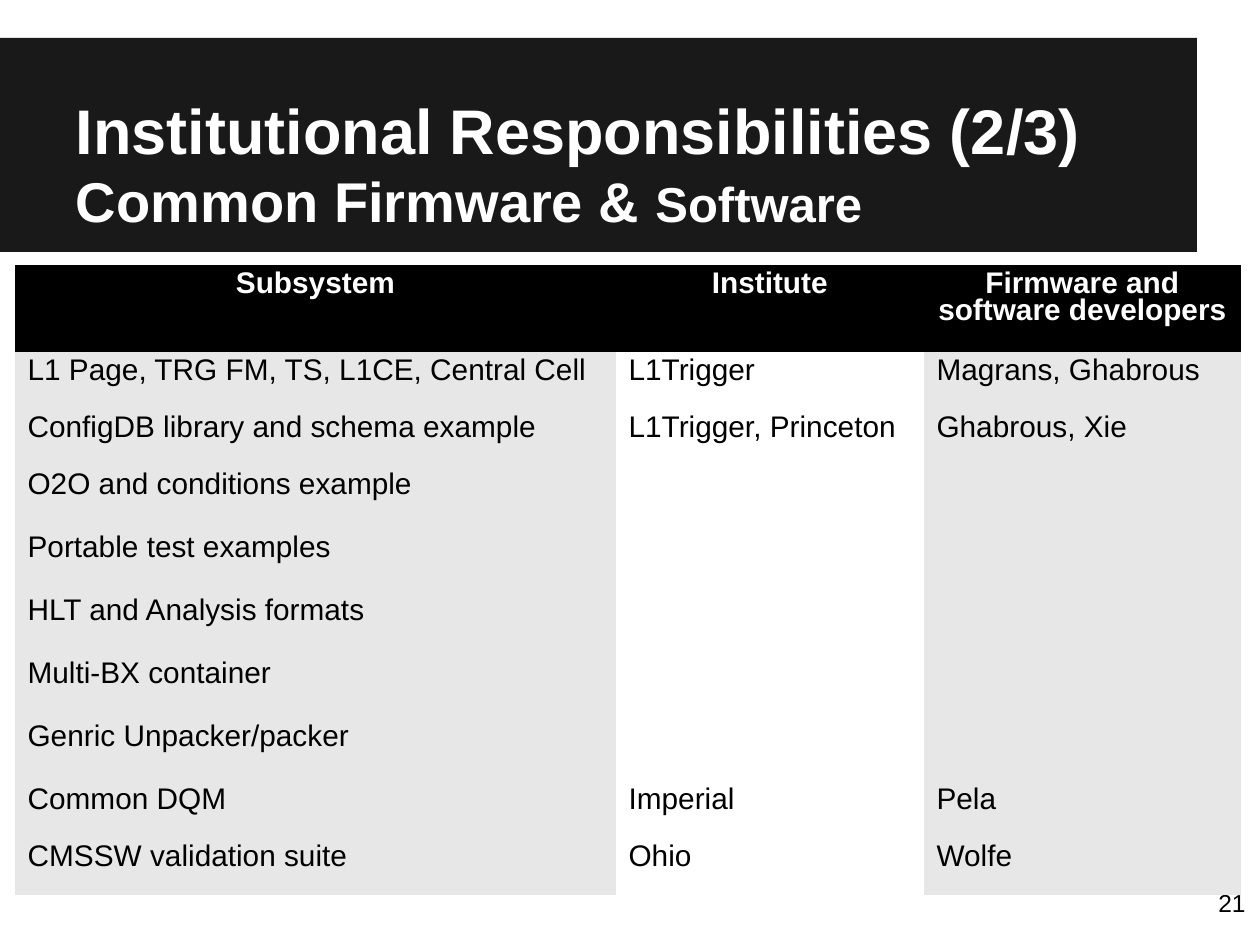
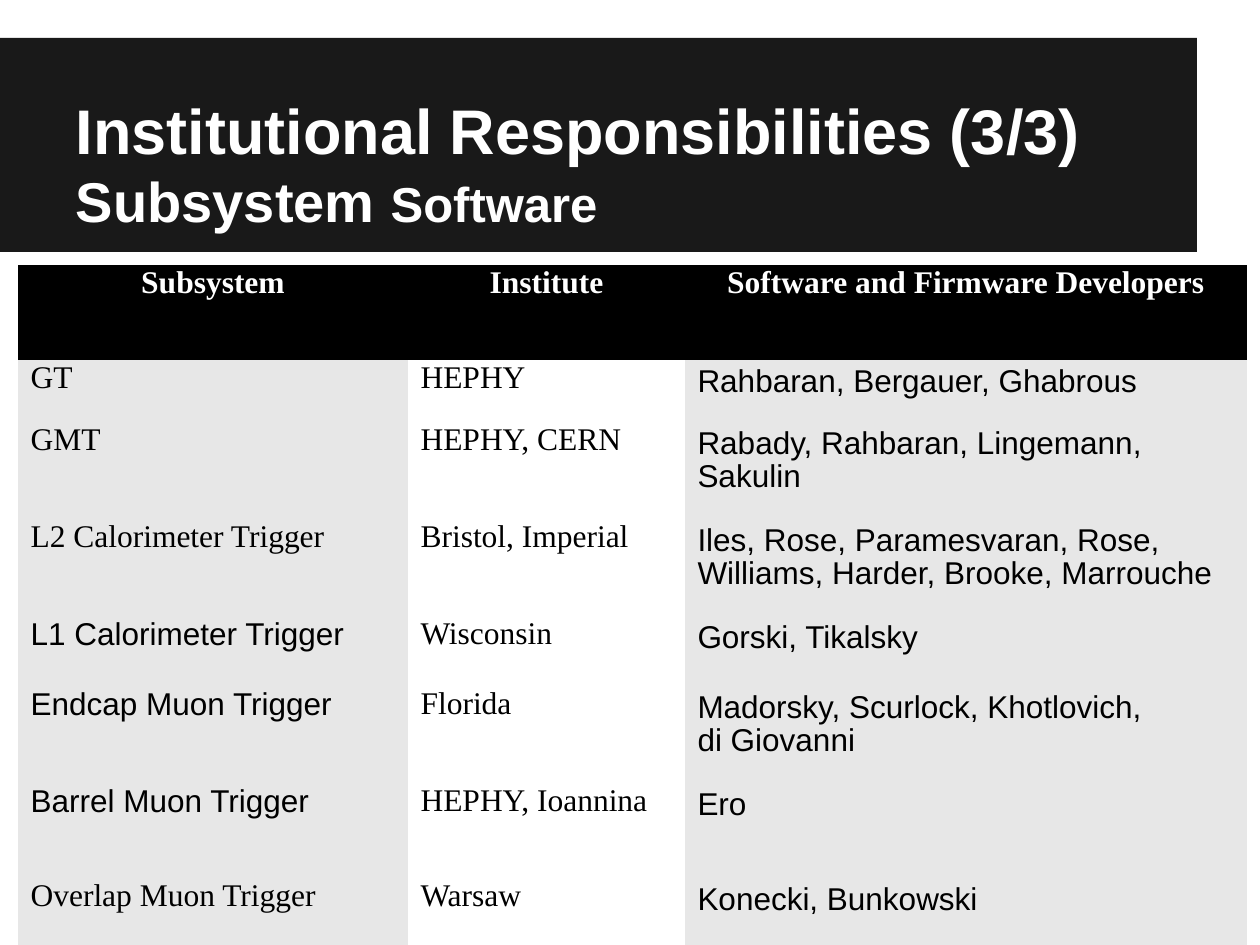
from collections import namedtuple

from pptx import Presentation
from pptx.dml.color import RGBColor
from pptx.enum.shapes import MSO_SHAPE
from pptx.enum.text import MSO_ANCHOR, MSO_AUTO_SIZE, PP_ALIGN
from pptx.oxml.ns import qn
from pptx.util import Pt

EMU_PER_PX = 914400 / 126
TITLE_ONLY = 5
PLAIN_TABLE_STYLE = "{2D5ABB26-0587-4C30-8999-92F81FD0307C}"

BLACK = RGBColor(0x00, 0x00, 0x00)
WHITE = RGBColor(0xFF, 0xFF, 0xFF)
BAND_GREY = RGBColor(0x19, 0x19, 0x19)
COLUMN_GREY = RGBColor(0xE7, 0xE7, 0xE7)
COLUMN_FILLS = (COLUMN_GREY, WHITE, COLUMN_GREY)

Box = namedtuple("Box", "left top width height")
TextStyle = namedtuple("TextStyle", "font size spacing")

BAND_BOX = Box(0, 38, 1197, 214)
TITLE_BOX = Box(63, 38, 1134, 209)
NUMBER_BOX = Box(1121, 882, 137, 59)

COMMON_STYLE = TextStyle("Arial", 17, 0.82)
SERIF_STYLE = TextStyle("Times New Roman", 18, 0.81)
SANS_STYLE = TextStyle("Arial", 18, 0.82)
DEVELOPER_STYLE = TextStyle("Arial", 18, 0.93)

COMMON_ROWS = [
    ("Subsystem", "Institute", "Firmware and software developers"),
    ("L1 Page, TRG FM, TS, L1CE, Central Cell", "L1Trigger", "Magrans, Ghabrous"),
    ("ConfigDB library and schema example", "L1Trigger, Princeton", "Ghabrous, Xie"),
    ("O2O and conditions example", "", ""),
    ("Portable test examples", "", ""),
    ("HLT and Analysis formats", "", ""),
    ("Multi-BX container", "", ""),
    ("Genric Unpacker/packer", "", ""),
    ("Common DQM", "Imperial", "Pela"),
    ("CMSSW validation suite", "Ohio", "Wolfe"),
]
SUBSYSTEM_ROWS = [
    ("Subsystem", "Institute", "Software and Firmware Developers"),
    ("GT", "HEPHY", "Rahbaran, Bergauer, Ghabrous"),
    ("GMT", "HEPHY, CERN", "Rabady, Rahbaran, Lingemann, Sakulin"),
    ("L2 Calorimeter Trigger", "Bristol, Imperial",
     "Iles, Rose, Paramesvaran, Rose, Williams, Harder, Brooke, Marrouche"),
    ("L1 Calorimeter Trigger", "Wisconsin", "Gorski, Tikalsky"),
    ("Endcap Muon Trigger", "Florida", "Madorsky, Scurlock, Khotlovich, \vdi Giovanni"),
    ("Barrel Muon Trigger", "HEPHY, Ioannina", "Ero"),
    ("Overlap Muon Trigger", "Warsaw", "Konecki, Bunkowski"),
]
SANS_SUBSYSTEMS = {"L1 Calorimeter Trigger", "Endcap Muon Trigger", "Barrel Muon Trigger"}


def px(length):
    return round(length * EMU_PER_PX)


def emu_box(box):
    return [px(length) for length in box]


def set_font(font, name, size, color, bold=False):
    font.name = name
    font.size = Pt(size)
    font.bold = bold
    font.color.rgb = color


def add_title_band(page, part, topic):
    title = page.shapes.title
    title.left, title.top, title.width, title.height = emu_box(TITLE_BOX)

    band = page.shapes.add_shape(MSO_SHAPE.RECTANGLE, *emu_box(BAND_BOX))
    band.shadow.inherit = False
    band.fill.solid()
    band.fill.fore_color.rgb = BAND_GREY
    band.line.fill.background()
    title._element.addprevious(band._element)

    frame = title.text_frame
    frame.auto_size = MSO_AUTO_SIZE.NONE
    frame.word_wrap = True
    frame.vertical_anchor = MSO_ANCHOR.BOTTOM
    frame.margin_left = frame.margin_right = px(13)
    frame.margin_top = frame.margin_bottom = px(13)
    lines = [
        [(f"Institutional Responsibilities ({part}/3)", 36)],
        [(f"{topic} ", 32), ("Software", 28)],
    ]
    for index, line in enumerate(lines):
        para = frame.add_paragraph() if index else frame.paragraphs[0]
        para.alignment = PP_ALIGN.LEFT
        for text, size in line:
            span = para.add_run()
            span.text = text
            set_font(span.font, "Arial", size, WHITE, bold=True)


def add_page_number(page, number):
    frame = page.shapes.add_textbox(*emu_box(NUMBER_BOX)).text_frame
    frame.word_wrap = True
    para = frame.paragraphs[0]
    para.text = str(number)
    para.alignment = PP_ALIGN.RIGHT
    set_font(para.font, "Arial", 14, BLACK)


def fill_cell(cell, text, style, fill, is_header):
    cell.fill.solid()
    cell.fill.fore_color.rgb = BLACK if is_header else fill
    cell.text = text
    for para in cell.text_frame.paragraphs:
        para.alignment = PP_ALIGN.CENTER if is_header else PP_ALIGN.LEFT
        para.line_spacing = style.spacing
        set_font(para.font, style.font, style.size,
                 WHITE if is_header else BLACK, bold=is_header)


def add_responsibility_table(page, left, top, widths, heights, rows, style_of):
    """style_of(row, column, text) gives the TextStyle of a cell."""
    box = Box(left, top, sum(widths), sum(heights))
    table = page.shapes.add_table(len(rows), len(widths), *emu_box(box)).table
    table.first_row = table.horz_banding = False
    table._tbl.tblPr.find(qn("a:tableStyleId")).text = PLAIN_TABLE_STYLE
    for column, width in zip(table.columns, widths):
        column.width = px(width)
    for r, (texts, height) in enumerate(zip(rows, heights)):
        table.rows[r].height = px(height)
        for c, (text, fill) in enumerate(zip(texts, COLUMN_FILLS)):
            fill_cell(table.cell(r, c), text, style_of(r, c, text), fill, r == 0)


def common_style(row, column, text):
    return COMMON_STYLE


def subsystem_style(row, column, text):
    if row and column == 2:
        return DEVELOPER_STYLE
    return SANS_STYLE if text in SANS_SUBSYSTEMS else SERIF_STYLE


def add_page(deck, part, topic):
    page = deck.slides.add_slide(deck.slide_layouts[TITLE_ONLY])
    add_title_band(page, part, topic)
    return page


def main():
    deck = Presentation()
    deck.slide_width, deck.slide_height = px(1260), px(945)

    common = add_page(deck, 2, "Common Firmware &")
    add_page_number(common, 21)
    add_responsibility_table(
        common, 15, 265, (601, 308, 317),
        (87, 57, 57, 63, 63, 63, 63, 63, 57, 57), COMMON_ROWS, common_style)

    subsystem = add_page(deck, 3, "Subsystem")
    add_responsibility_table(
        subsystem, 18, 265, (390, 277, 562),
        (95, 62, 97, 97, 70, 97, 95, 70), SUBSYSTEM_ROWS, subsystem_style)

    deck.save("out.pptx")


if __name__ == "__main__":
    main()
